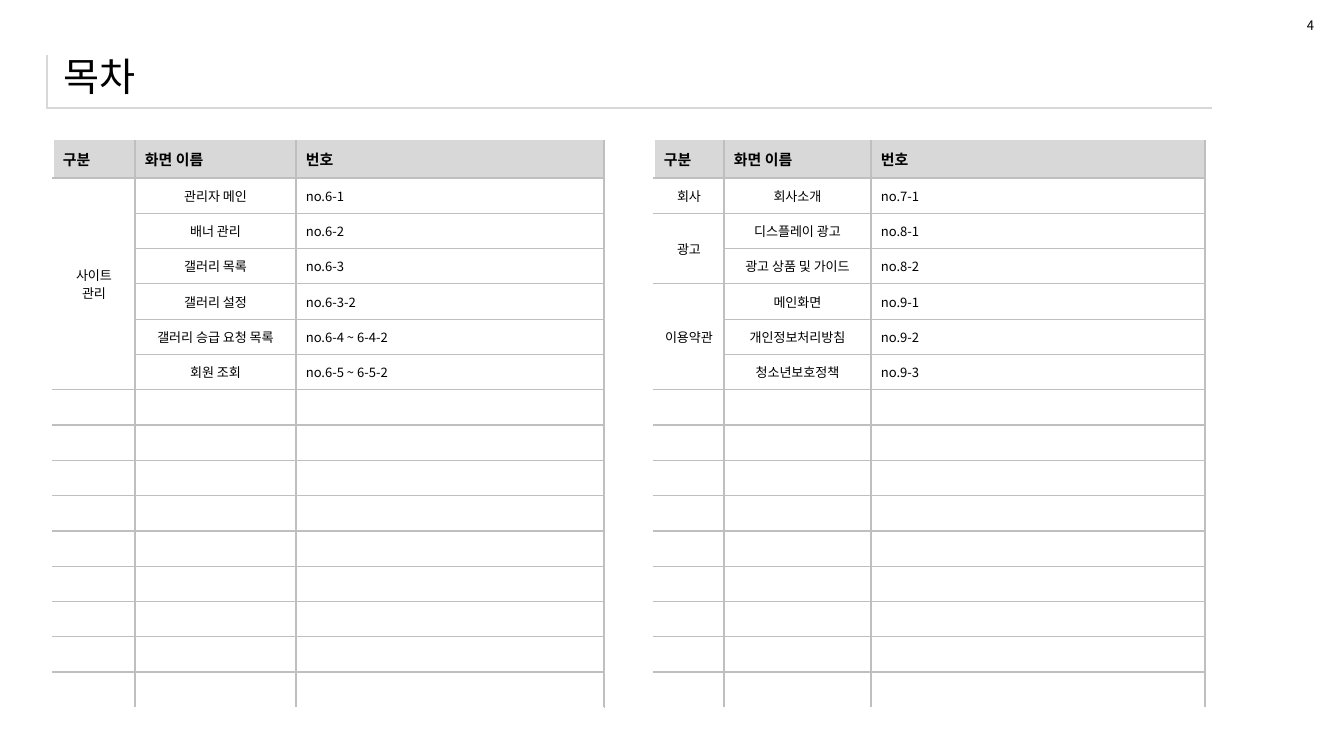
from dataclasses import dataclass

from lxml.etree import SubElement
from pptx import Presentation
from pptx.dml.color import RGBColor
from pptx.enum.text import MSO_ANCHOR, MSO_AUTO_SIZE, PP_ALIGN
from pptx.oxml.ns import qn
from pptx.util import Pt

EMU_PER_PX = 914400 / 134.4


@dataclass(frozen=True)
class Theme:
    font: str = "Noto Sans CJK KR"
    header_font: str = "Arial"
    text: str = "000000"
    paper: str = "FFFFFF"
    shade: str = "D8D8D8"
    rule: str = "BFBFBF"
    title_size: int = 21
    header_size: int = 8
    body_size: int = 7
    rule_width: float = 0.75
    edge_width: float = 1


THEME = Theme()
RULE = (THEME.rule, THEME.rule_width)
EDGE = (THEME.paper, THEME.edge_width)
FRAME = (THEME.shade, THEME.rule_width)

TABLE_TOP, TABLE_HEIGHT, HEADER_HEIGHT, ROW_COUNT = 140, 568, 38, 16
HEADERS = ("구분", "화면 이름", "번호")
ADMIN_SCREENS = [
    ("사이트 관리", [
        ("관리자 메인", "no.6-1"),
        ("배너 관리", "no.6-2"),
        ("갤러리 목록", "no.6-3"),
        ("갤러리 설정", "no.6-3-2"),
        ("갤러리 승급 요청 목록", "no.6-4 ~ 6-4-2"),
        ("회원 조회", "no.6-5 ~ 6-5-2"),
    ]),
]
PUBLIC_SCREENS = [
    ("회사", [("회사소개", "no.7-1")]),
    ("광고", [("디스플레이 광고", "no.8-1"), ("광고 상품 및 가이드", "no.8-2")]),
    ("이용약관", [
        ("메인화면", "no.9-1"),
        ("개인정보처리방침", "no.9-2"),
        ("청소년보호정책", "no.9-3"),
    ]),
]


def px(*lengths):
    emu = [round(n * EMU_PER_PX) for n in lengths]
    return emu if len(emu) > 1 else emu[0]


def write(tf, text, *, size=THEME.body_size, font=THEME.font, bold=False,
          align=PP_ALIGN.LEFT):
    p = tf.paragraphs[0]
    p.alignment = align
    if not text:
        p._p.get_or_add_endParaRPr().set("sz", str(size * 100))
        return
    r = p.add_run()
    r.text = text
    r.font.size, r.font.name, r.font.bold = Pt(size), font, bold
    r.font.color.rgb = RGBColor.from_string(THEME.text)
    SubElement(r.font._element, qn("a:ea"), typeface=THEME.font)


def set_margins(obj, side, end):
    obj.margin_left = obj.margin_right = px(side)
    obj.margin_top = obj.margin_bottom = px(end)


def style_cell(cell, fill, left=None, right=None, top=None, bottom=None):
    """Set fill and borders; a border is (colour, points), or None for no line."""
    set_margins(cell, 10, 5)
    cell.vertical_anchor = MSO_ANCHOR.MIDDLE
    tcPr = cell._tc.get_or_add_tcPr()
    for tag, border in zip("LRTB", (left, right, top, bottom)):
        ln = SubElement(tcPr, qn(f"a:ln{tag}"))
        if border is None:
            SubElement(ln, qn("a:noFill"))
            continue
        color, width = border
        ln.set("w", str(Pt(width)))
        SubElement(SubElement(ln, qn("a:solidFill")), qn("a:srgbClr"), val=color)
    cell.fill.solid()
    cell.fill.fore_color.rgb = RGBColor.from_string(fill)


def add_plain_table(s, rows, cols, box):
    table = s.shapes.add_table(rows, cols, *px(*box)).table
    table.first_row = table.horz_banding = False
    return table


def add_title_frame(s):
    cell = add_plain_table(s, 1, 1, (47, 55, 1165, 53)).cell(0, 0)
    style_cell(cell, THEME.paper, left=FRAME, bottom=FRAME)
    write(cell.text_frame, "")


def add_title(s, text):
    title = s.shapes.title
    title.left, title.top, title.width, title.height = px(53, 44, 1259, 63)
    tf = title.text_frame
    tf.auto_size = MSO_AUTO_SIZE.NONE
    tf.vertical_anchor = MSO_ANCHOR.MIDDLE
    set_margins(tf, 10, 5)
    write(tf, text, size=THEME.title_size)


def add_page_number(s, text):
    tf = s.shapes.add_textbox(*px(1298, 12, 27, 26)).text_frame
    tf.word_wrap = True
    tf.auto_size = MSO_AUTO_SIZE.SHAPE_TO_FIT_TEXT
    set_margins(tf, 9, 5)
    write(tf, text)


def add_screen_table(s, left, widths, groups):
    table = add_plain_table(s, ROW_COUNT, len(widths),
                            (left, TABLE_TOP, sum(widths), TABLE_HEIGHT))
    for column, width in zip(table.columns, widths):
        column.width = px(width)
    body_height = (TABLE_HEIGHT - HEADER_HEIGHT) / (ROW_COUNT - 1)
    for i, row in enumerate(table.rows):
        row.height = px(body_height if i else HEADER_HEIGHT)

    lines = [HEADERS]
    for group, screens in groups:
        start = len(lines)
        lines += [(group if i == 0 else "", *screen)
                  for i, screen in enumerate(screens)]
        if len(screens) > 1:
            table.cell(start, 0).merge(table.cell(len(lines) - 1, 0))
    lines += [("",) * len(widths)] * (ROW_COUNT - len(lines))

    for i, line in enumerate(lines):
        for j, text in enumerate(line):
            cell = table.cell(i, j)
            style_cell(cell, THEME.paper if i else THEME.shade,
                       left=RULE if j else EDGE, right=RULE,
                       top=RULE if i else None,
                       bottom=RULE if i < ROW_COUNT - 1 else EDGE)
            if i == 0:
                write(cell.text_frame, text, size=THEME.header_size,
                      font=THEME.header_font, bold=True)
            else:
                write(cell.text_frame, text,
                      align=PP_ALIGN.LEFT if j == 2 else PP_ALIGN.CENTER)


def main():
    prs = Presentation()
    prs.slide_width, prs.slide_height = px(1344, 756)
    s = prs.slides.add_slide(prs.slide_layouts[5])
    add_title_frame(s)
    add_title(s, "목차")
    # The title placeholder comes first, so raise it above the frame.
    s.shapes._spTree.append(s.shapes.title._element)
    add_screen_table(s, 53, (82, 161, 308), ADMIN_SCREENS)
    add_page_number(s, "4")
    add_screen_table(s, 654, (70, 147, 334), PUBLIC_SCREENS)
    prs.save("out.pptx")


if __name__ == "__main__":
    main()
